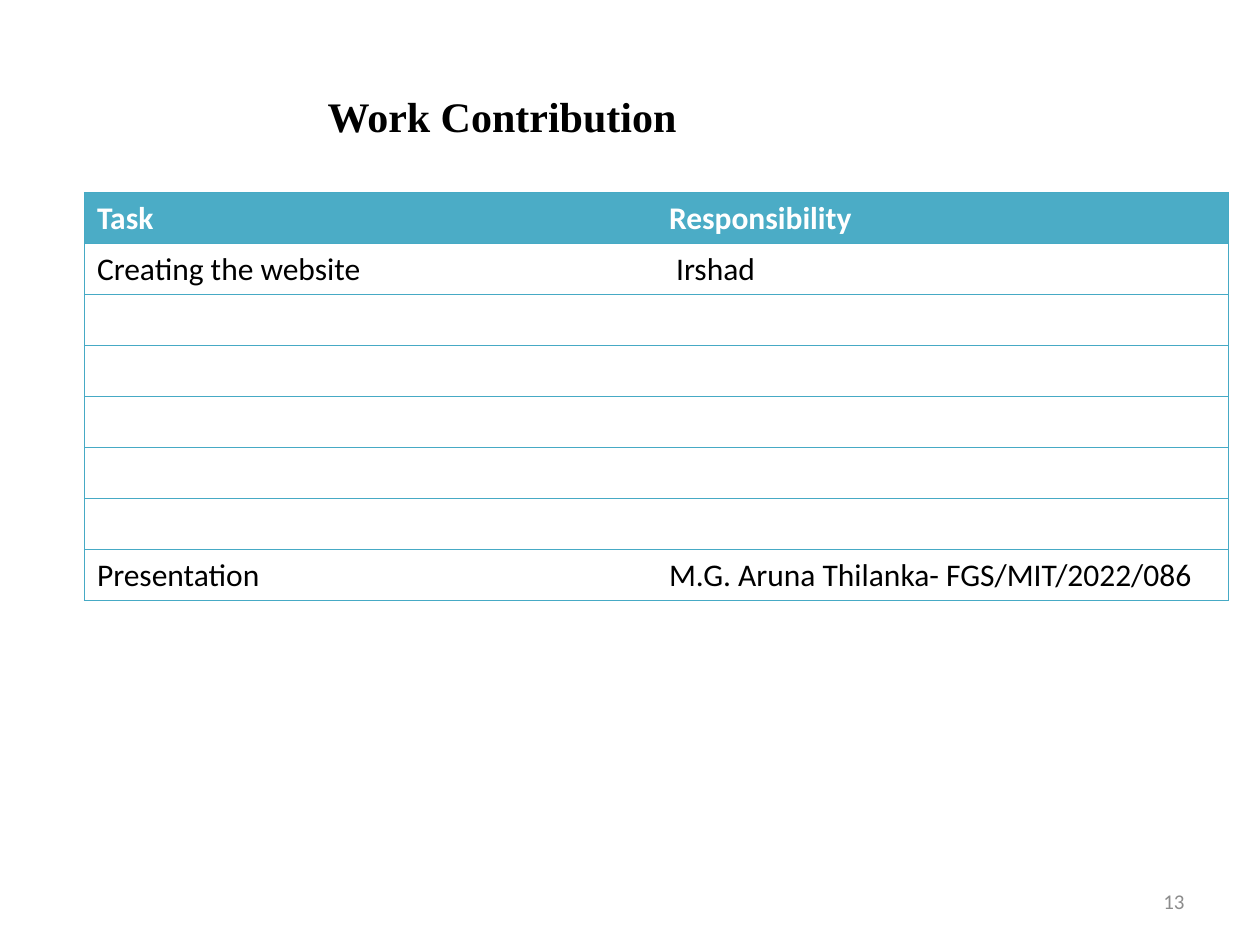
from dataclasses import dataclass

from lxml import etree
from pptx import Presentation
from pptx.dml.color import RGBColor
from pptx.enum import text
from pptx.oxml import ns
from pptx.util import Inches, Pt


@dataclass(frozen=True)
class Theme:
    heading_font: str = "Times New Roman"
    body_font: str = "Calibri"
    ink: str = "000000"
    paper: str = "FFFFFF"
    muted: str = "8C8C8C"
    header: str = "4BACC6"
    border: str = "46AAC5"
    title_size: int = 24
    body_size: int = 18
    number_size: int = 12
    border_width: float = 0.75


THEME = Theme()
ROWS = [
    ("Task", "Responsibility"),
    ("Creating the website", " Irshad"),
    *[("", "")] * 5,
    ("Presentation", "M.G. Aruna Thilanka- FGS/MIT/2022/086"),
]


def style(p, font, size, color, bold=False):
    # The paragraph font also sizes the line of an empty cell.
    for f in [p.font, *(r.font for r in p.runs)]:
        f.name, f.size, f.bold = font, Pt(size), bold
        f.color.rgb = RGBColor.from_string(color)


def set_borders(cell, sides):
    """Draw a line on each side named in sides (any of L, R, T, B), none elsewhere."""
    tc_pr = cell._tc.get_or_add_tcPr()
    for side in "LRTB":
        ln = etree.SubElement(tc_pr, ns.qn(f"a:ln{side}"), w=str(Pt(THEME.border_width)))
        if side in sides:
            fill = etree.SubElement(ln, ns.qn("a:solidFill"))
            etree.SubElement(fill, ns.qn("a:srgbClr"), val=THEME.border)
        else:
            etree.SubElement(ln, ns.qn("a:noFill"))


def add_title(slide, left, top, width, height):
    sp = slide.shapes.title
    sp.left, sp.top, sp.width, sp.height = left, top, width, height
    tf = sp.text_frame
    tf.text = "Work Contribution"
    tf.vertical_anchor = text.MSO_ANCHOR.TOP
    tf.auto_size = text.MSO_AUTO_SIZE.NONE
    p = tf.paragraphs[0]
    p.alignment = text.PP_ALIGN.LEFT
    style(p, THEME.heading_font, THEME.title_size, THEME.ink, bold=True)


def add_contributions(slide, left, top, width, height):
    n_cols = len(ROWS[0])
    table = slide.shapes.add_table(len(ROWS), n_cols, left, top, width, height).table
    for i, row in enumerate(ROWS):
        is_header = i == 0
        for j, value in enumerate(row):
            cell = table.cell(i, j)
            cell.text = value
            set_borders(cell, "TB" + ("L" if j == 0 else "") + ("R" if j == n_cols - 1 else ""))
            if is_header:
                cell.fill.solid()
                cell.fill.fore_color.rgb = RGBColor.from_string(THEME.header)
            else:
                cell.fill.background()
            color = THEME.paper if is_header else THEME.ink
            style(cell.text_frame.paragraphs[0], THEME.body_font, THEME.body_size, color, is_header)


def add_slide_number(slide, left, top, width, height):
    tf = slide.shapes.add_textbox(left, top, width, height).text_frame
    tf.text = "13"
    tf.word_wrap = True
    tf.vertical_anchor = text.MSO_ANCHOR.MIDDLE
    p = tf.paragraphs[0]
    p.alignment = text.PP_ALIGN.RIGHT
    style(p, THEME.body_font, THEME.number_size, THEME.muted)


def main():
    prs = Presentation()
    prs.slide_width, prs.slide_height = Inches(10), Inches(7.5)
    slide = prs.slides.add_slide(prs.slide_layouts.get_by_name("Title Only"))
    add_slide_number(slide, Inches(7.17), Inches(6.95), Inches(2.33), Inches(0.4))
    add_title(slide, Inches(2.5), Inches(0.67), Inches(3.83), Inches(0.5))
    add_contributions(slide, Inches(0.67), Inches(1.53), Inches(9.08), Inches(3.24))
    prs.save("out.pptx")


if __name__ == "__main__":
    main()
